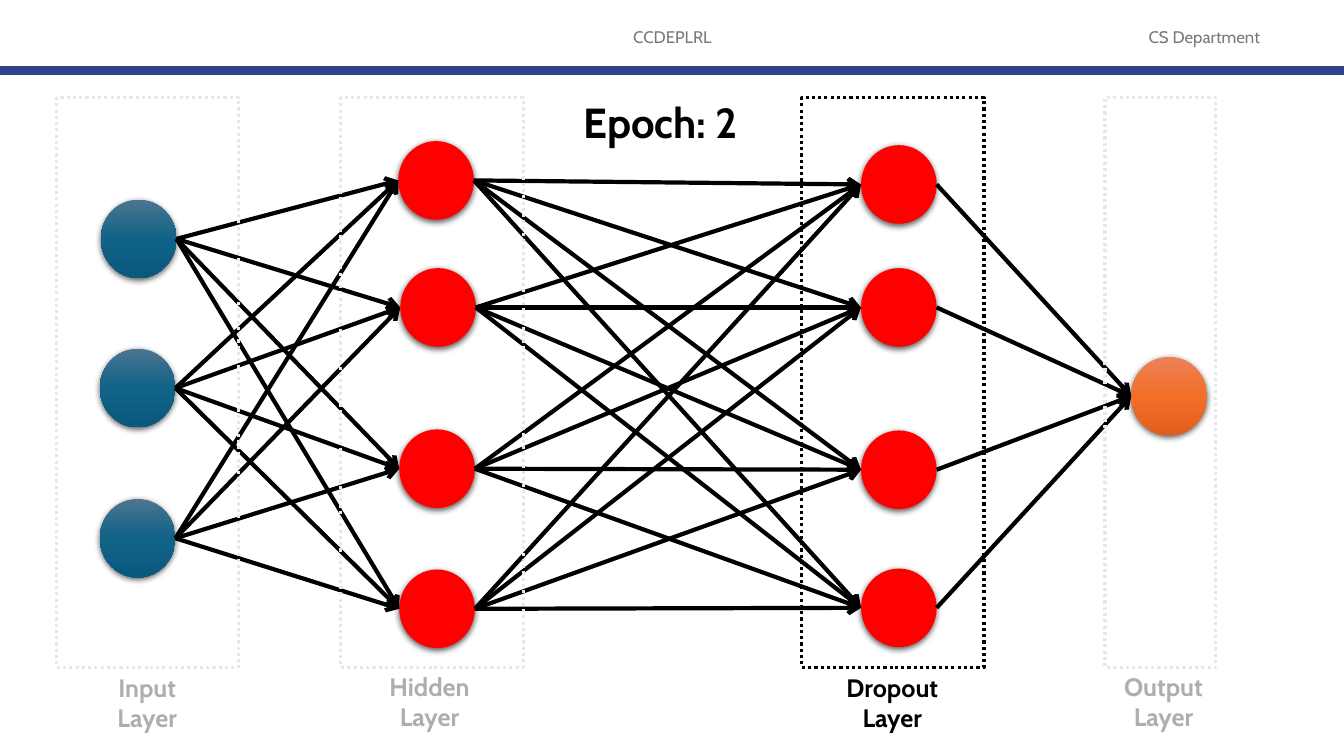
from dataclasses import dataclass
from itertools import pairwise, product

from lxml import etree
from pptx import Presentation
from pptx.dml.color import RGBColor
from pptx.enum.dml import MSO_LINE
from pptx.enum.shapes import MSO_CONNECTOR, MSO_SHAPE
from pptx.enum.text import MSO_ANCHOR, PP_ALIGN
from pptx.oxml.ns import qn
from pptx.shapes.autoshape import Shape
from pptx.shapes.connector import Connector
from pptx.slide import Slide
from pptx.util import Emu, Pt

STRAIGHT = MSO_CONNECTOR.STRAIGHT
OVAL, RECTANGLE = MSO_SHAPE.OVAL, MSO_SHAPE.RECTANGLE
DOTTED = MSO_LINE.ROUND_DOT
CENTER, LEFT = PP_ALIGN.CENTER, PP_ALIGN.LEFT
MIDDLE, TOP = MSO_ANCHOR.MIDDLE, MSO_ANCHOR.TOP

PX = 9144  # 100 px to the inch
SLIDE_W, SLIDE_H = 1333, 750
NODE_W, NODE_H = 75, 78
FRAME_TOP, FRAME_H = 97, 565
LABEL_H = 71
RULE_Y = 70
FONT = "Cabin"
COLORS = {
    "header": "797979",
    "rule": "32418C",
    "black": "000000",
    "faded_label": "AEAEAE",
    "faded_frame": "E8E8E8",
}
INPUT_FILL = ("4C7591", "106287", "09597D")
DROPPED_FILL = ("FF0000",)
OUTPUT_FILL = ("ED8257", "F26E29", "E25F1A")


@dataclass(frozen=True)
class Node:
    left: int
    top: int

    @property
    def middle(self) -> int:
        return self.top + NODE_H // 2


@dataclass(frozen=True)
class Layer:
    label: str
    label_left: int
    label_top: int
    label_w: int
    frame_left: int
    frame_w: int
    fill: tuple[str, ...]
    nodes: tuple[Node, ...]
    active: bool = False


LAYERS = (
    Layer("Input Layer", 77, 662, 138, 56, 181, INPUT_FILL,
          (Node(100, 198), Node(99, 346), Node(99, 495))),
    Layer("Hidden Layer", 345, 661, 162, 338, 181, DROPPED_FILL,
          (Node(395, 140), Node(397, 266), Node(396, 426), Node(396, 565))),
    Layer("Dropout Layer", 804, 662, 162, 795, 181, DROPPED_FILL,
          (Node(854, 144), Node(854, 266), Node(854, 427), Node(854, 564)), active=True),
    Layer("Output Layer", 1097, 661, 114, 1096, 110, OUTPUT_FILL,
          (Node(1122, 354),)),
)


def px(*lengths: int) -> list[Emu]:
    return [Emu(length * PX) for length in lengths]


def rgb(name: str) -> RGBColor:
    return RGBColor.from_string(COLORS[name])


def add_text(slide: Slide, text: str, at: tuple[int, int, int, int], size: int, color: str,
             bold: bool = False, align: PP_ALIGN = CENTER, anchor: MSO_ANCHOR = TOP) -> None:
    frame = slide.shapes.add_textbox(*px(*at)).text_frame
    frame.word_wrap = True
    frame.vertical_anchor = anchor
    frame.text = text
    paragraph = frame.paragraphs[0]
    paragraph.alignment = align
    font = paragraph.runs[0].font
    font.name, font.size, font.bold = FONT, Pt(size), bold
    font.color.rgb = rgb(color)


def add_line(slide: Slide, start: tuple[int, int], end: tuple[int, int],
             color: str, width: int) -> Connector:
    connector = slide.shapes.add_connector(STRAIGHT, *px(*start, *end))
    connector.line.color.rgb = rgb(color)
    connector.line.width = Pt(width)
    etree.SubElement(connector._element.spPr, qn("a:effectLst"))
    return connector


def add_link(slide: Slide, source: Node, target: Node) -> None:
    """Draw an arrow from the right edge of one node to the left edge of another."""
    link = add_line(slide, (source.left + NODE_W, source.middle),
                    (target.left, target.middle), "black", 3)
    etree.SubElement(link.line._get_or_add_ln(), qn("a:tailEnd"), type="arrow")


def fill_gradient(shape: Shape, colors: tuple[str, ...]) -> None:
    """Spread the colours evenly from top to bottom."""
    shape.fill.gradient()
    shape.fill.gradient_angle = 270
    stops = shape._element.spPr.find(qn("a:gradFill")).find(qn("a:gsLst"))
    for stop in list(stops):
        stops.remove(stop)
    for index, color in enumerate(colors):
        position = index * 100000 // (len(colors) - 1)
        stop = etree.SubElement(stops, qn("a:gs"), pos=str(position))
        etree.SubElement(stop, qn("a:srgbClr"), val=color)


def add_soft_shadow(shape: Shape) -> None:
    shape.shadow.inherit = False
    effects = shape._element.spPr.find(qn("a:effectLst"))
    shadow = etree.SubElement(effects, qn("a:outerShdw"), blurRad=str(Pt(4.5)),
                              dist=str(Pt(1.5)), dir="5400000", algn="ctr", rotWithShape="0")
    color = etree.SubElement(shadow, qn("a:srgbClr"), val=COLORS["black"])
    etree.SubElement(color, qn("a:alpha"), val="63000")


def add_node(slide: Slide, node: Node, colors: tuple[str, ...]) -> None:
    circle = slide.shapes.add_shape(OVAL, *px(node.left, node.top, NODE_W, NODE_H))
    if len(colors) == 1:
        circle.fill.solid()
        circle.fill.fore_color.rgb = RGBColor.from_string(colors[0])
    else:
        fill_gradient(circle, colors)
    circle.line.fill.background()
    add_soft_shadow(circle)


def add_layer_frame(slide: Slide, layer: Layer) -> None:
    """Add the caption of a layer and the dotted frame around it."""
    add_text(slide, layer.label, (layer.label_left, layer.label_top, layer.label_w, LABEL_H),
             18, "black" if layer.active else "faded_label", bold=True)
    frame = slide.shapes.add_shape(
        RECTANGLE, *px(layer.frame_left, FRAME_TOP, layer.frame_w, FRAME_H))
    frame.shadow.inherit = False
    frame.fill.background()
    frame.line.color.rgb = rgb("black" if layer.active else "faded_frame")
    frame.line.width = Pt(2.25)
    frame.line.dash_style = DOTTED


def main() -> None:
    deck = Presentation()
    deck.slide_width, deck.slide_height = px(SLIDE_W, SLIDE_H)
    slide = deck.slides.add_slide(deck.slide_layouts[6])

    add_text(slide, "CCDEPLRL", (442, 17, 450, 40), 12, "header", anchor=MIDDLE)
    add_text(slide, "CS Department", (1092, 17, 205, 40), 12, "header", anchor=MIDDLE)
    add_line(slide, (0, RULE_Y), (SLIDE_W, RULE_Y), "rule", 6)

    for layer in LAYERS:
        for node in layer.nodes:
            add_node(slide, node, layer.fill)
    for layer, next_layer in pairwise(LAYERS):
        for source, target in product(layer.nodes, next_layer.nodes):
            add_link(slide, source, target)

    add_text(slide, "Epoch: 2", (569, 91, 185, 61), 30, "black", bold=True, align=LEFT)
    for layer in LAYERS:
        add_layer_frame(slide, layer)

    deck.save("out.pptx")


if __name__ == "__main__":
    main()
